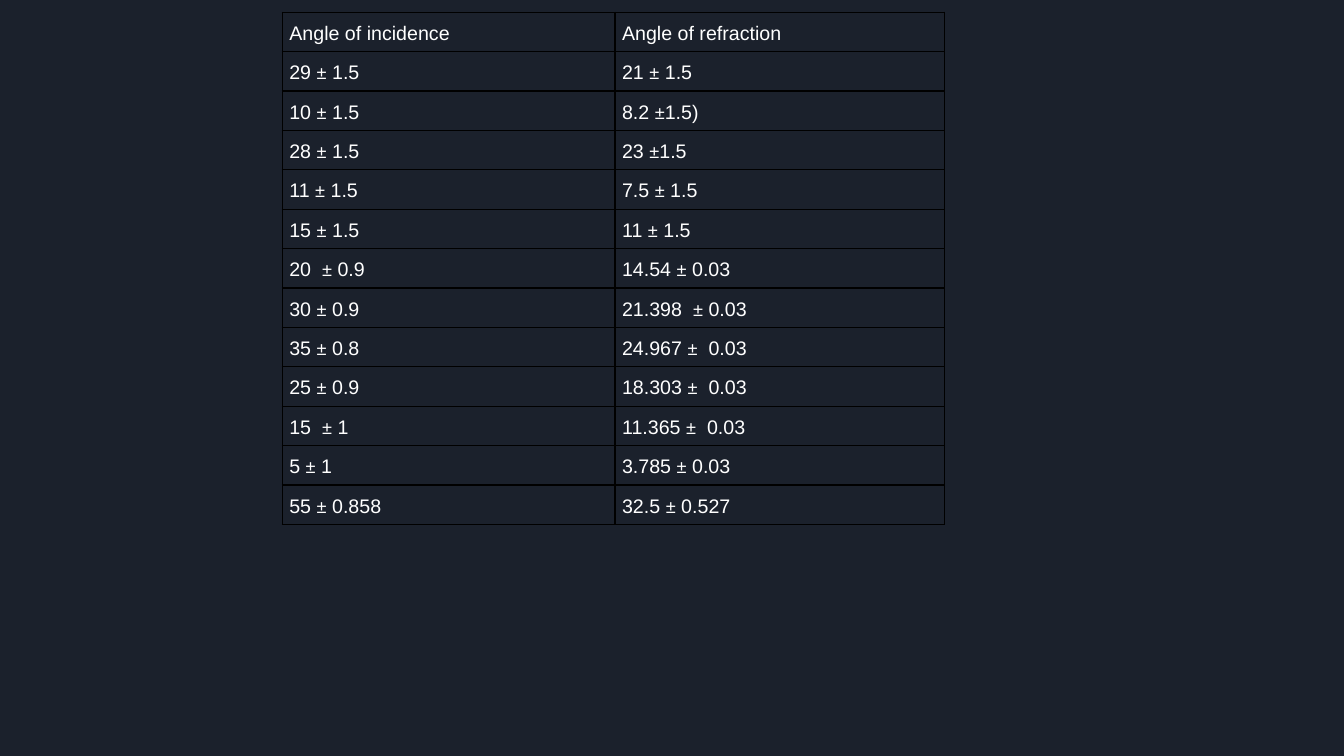
from lxml import etree
from pptx import Presentation
from pptx import util as u
from pptx.dml import color
from pptx.enum import text
from pptx.oxml import ns

HEADINGS = ("Angle of incidence", "Angle of refraction")
MEASUREMENTS = [
    ("29 ± 1.5", "21 ± 1.5"),
    ("10 ± 1.5", "8.2 ±1.5)"),
    ("28 ± 1.5", "23 ±1.5"),
    ("11 ± 1.5", "7.5 ± 1.5"),
    ("15 ± 1.5", "11 ± 1.5"),
    ("20  ± 0.9", "14.54 ± 0.03"),
    ("30 ± 0.9", "21.398  ± 0.03"),
    ("35 ± 0.8", "24.967 ±  0.03"),
    ("25 ± 0.9", "18.303 ±  0.03"),
    ("15  ± 1", "11.365 ±  0.03"),
    ("5 ± 1", "3.785 ± 0.03"),
    ("55 ± 0.858", "32.5 ± 0.527"),
]


def rgb(value):
    return color.RGBColor.from_string(value)


class SlideBuilder:
    """Holds the style and the current slide, and adds elements to it."""

    font = "Arial"
    text_color = "FFFFFF"
    border_color = "000000"
    background = "1B212C"
    text_size = u.Pt(14)
    sign_size = u.Pt(13)
    margin = u.Inches(0.07)

    def __init__(self, presentation):
        self.slide = presentation.slides.add_slide(presentation.slide_layouts[6])
        fill = self.slide.background.fill
        fill.solid()
        fill.fore_color.rgb = rgb(self.background)

    def add_table(self, left, top, widths, row_height, rows):
        shape = self.slide.shapes.add_table(
            len(rows), len(widths), u.Inches(left), u.Inches(top),
            u.Inches(sum(widths)), u.Inches(row_height * len(rows)))
        table = shape.table
        table.first_row = False
        table.horz_banding = False
        for column, width in zip(table.columns, widths):
            column.width = u.Inches(width)
        for row, values in zip(table.rows, rows):
            row.height = u.Inches(row_height)
            for cell, value in zip(row.cells, values):
                self.format_cell(cell)
                self.write_cell(cell, value)

    def format_cell(self, cell):
        cell.margin_left = cell.margin_right = self.margin
        cell.margin_top = cell.margin_bottom = self.margin
        cell.vertical_anchor = text.MSO_ANCHOR.TOP
        properties = cell._tc.get_or_add_tcPr()
        for side in ("lnL", "lnR", "lnT", "lnB"):
            line = etree.SubElement(properties, ns.qn(f"a:{side}"), w=str(u.Pt(1)))
            fill = etree.SubElement(line, ns.qn("a:solidFill"))
            etree.SubElement(fill, ns.qn("a:srgbClr"), val=self.border_color)
        cell.fill.background()

    def write_cell(self, cell, value):
        paragraph = cell.text_frame.paragraphs[0]
        paragraph.line_spacing = 1.15
        paragraph.space_before = u.Pt(12)
        for part in filter(None, value.partition("±")):
            run = paragraph.add_run()
            run.text = part
            run.font.name = self.font
            run.font.size = self.sign_size if part == "±" else self.text_size
            run.font.color.rgb = rgb(self.text_color)


def main():
    presentation = Presentation()
    presentation.slide_width = u.Inches(13.33)
    presentation.slide_height = u.Inches(7.5)
    builder = SlideBuilder(presentation)
    builder.add_table(2.8, 0.12, (3.3, 3.27), 0.34, [HEADINGS, *MEASUREMENTS])
    presentation.save("out.pptx")


if __name__ == "__main__":
    main()
